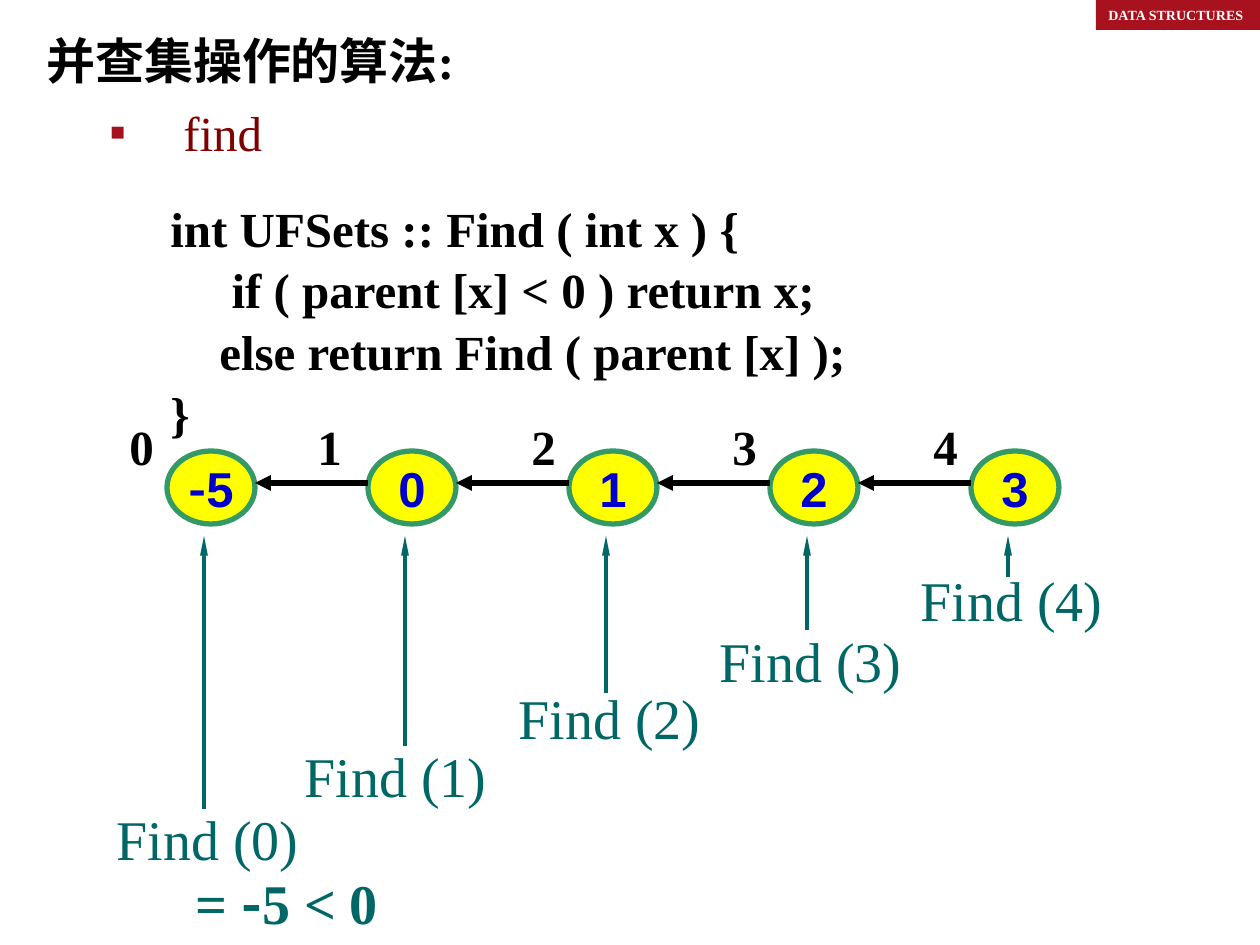
from lxml.etree import SubElement
from pptx import Presentation
from pptx.dml.color import RGBColor
from pptx.enum.shapes import MSO_CONNECTOR, MSO_SHAPE
from pptx.enum.text import MSO_ANCHOR, PP_ALIGN
from pptx.oxml.ns import qn
from pptx.util import Emu, Pt

SLIDE_W, SLIDE_H = 1260, 945
SERIF, SANS, CJK = "Times New Roman", "Arial", "Noto Sans CJK SC"
BLACK = RGBColor(0, 0, 0)
WHITE = RGBColor(255, 255, 255)
BANNER_BACK = RGBColor(0xC8, 0x16, 0x27)
BANNER_RED = RGBColor(0xA8, 0x12, 0x1E)
MAROON = RGBColor(0x80, 0, 0)
YELLOW = RGBColor(255, 255, 0)
GREEN = RGBColor(0x33, 0x99, 0x66)
BLUE = RGBColor(0, 0, 0xCC)
TEAL = RGBColor(0, 0x66, 0x66)

PARENTS = ["-5", "0", "1", "2", "3"]
CODE = [
    "int UFSets :: Find ( int x ) {",
    "     if ( parent [x] < 0 ) return x;",
    "    else return Find ( parent [x] );",
    "}",
]


def px(length):
    return Emu(round(length * 914400 / 126))


def write(paragraph, text, size=28, color=BLACK, bold=True, font=SERIF,
          align=PP_ALIGN.LEFT, spacing=None):
    """Fill a paragraph, setting a minus sign in the CJK font."""
    paragraph.alignment = align
    paragraph.line_spacing = spacing
    before, minus, after = text.partition("-")
    for part, face in ((before, font), (minus, CJK), (after, font)):
        if not part:
            continue
        run = paragraph.add_run()
        run.text = part
        run.font.size = Pt(size)
        run.font.bold = bold
        run.font.color.rgb = color
        run.font.name = face
        SubElement(run.font._element, qn("a:ea")).set("typeface", CJK)


def add_text(slide, box, lines, wrap=False, **style):
    frame = slide.shapes.add_textbox(*map(px, box)).text_frame
    frame.word_wrap = wrap
    for i, line in enumerate(lines):
        paragraph = frame.add_paragraph() if i else frame.paragraphs[0]
        write(paragraph, line, **style)
    return frame


def add_solid(slide, kind, box, fill):
    shape = slide.shapes.add_shape(kind, *map(px, box))
    shape.shadow.inherit = False
    shape.fill.solid()
    shape.fill.fore_color.rgb = fill
    shape.line.fill.background()
    return shape


def add_arrow(slide, start, end, color, width, head_width="med", head_length="med"):
    arrow = slide.shapes.add_connector(MSO_CONNECTOR.STRAIGHT, *map(px, start + end))
    arrow.line.color.rgb = color
    arrow.line.width = Pt(width)
    SubElement(arrow.line._get_or_add_ln(), qn("a:tailEnd"),
               type="triangle", w=head_width, len=head_length)
    SubElement(arrow._element.spPr, qn("a:effectLst"))


def add_banner(slide, left, top, width, height):
    add_solid(slide, MSO_SHAPE.RECTANGLE, (left + 4, top, width - 4, height - 1), BANNER_BACK)
    banner = add_solid(slide, MSO_SHAPE.RECTANGLE, (left, top, width, height), BANNER_RED)
    banner.text_frame.vertical_anchor = MSO_ANCHOR.TOP
    write(banner.text_frame.paragraphs[0], "DATA STRUCTURES", size=8, color=WHITE)


def add_outline(slide, box):
    """Heading with one square-bulleted item below it."""
    frame = add_text(slide, box, ["并查集操作的算法:"], wrap=True)
    item = frame.add_paragraph()
    properties = item._p.get_or_add_pPr()
    properties.set("marL", str(px(137)))
    properties.set("indent", str(px(-73)))
    color = SubElement(properties, qn("a:buClr"))
    SubElement(color, qn("a:srgbClr"), val="A5121E")
    SubElement(properties, qn("a:buSzPct"), val="50000")
    SubElement(properties, qn("a:buFont"), typeface=SERIF)
    SubElement(properties, qn("a:buChar"), char="■")
    item.space_before = Pt(8)
    write(item, "find", color=MAROON, bold=False)


def add_chain(slide, left, top):
    """Row of parent nodes, each with its index and the call that reaches it."""
    pitch, width, height = 201, 88, 73
    call_tops = [798, 735, 677, 620, 559]
    stem_ends = [809, 746, 693, 630, 577]
    for i, parent in enumerate(PARENTS):
        x = left + i * pitch
        label_x = x - 13 if i == 1 else x
        node = add_solid(slide, MSO_SHAPE.OVAL, (x, top, width, height), YELLOW)
        node.line.color.rgb = GREEN
        node.line.width = Pt(3)
        node.text_frame.word_wrap = False
        node.text_frame.vertical_anchor = MSO_ANCHOR.MIDDLE
        write(node.text_frame.paragraphs[0], parent, color=BLUE, font=SANS,
              align=PP_ALIGN.CENTER)
        if i:
            add_arrow(slide, (x, top + 32), (x - pitch + width, top + 32), BLACK, 3)
        add_text(slide, (label_x - 50, top - 41, 49, 72), [str(i)])
        add_arrow(slide, (x + 37, stem_ends[i]), (x + 37, top + 85), TEAL, 2.25, "sm", "lg")
        add_text(slide, (label_x - 63, call_tops[i], 207, 81), [f"Find ({i})"],
                 size=32, color=TEAL, bold=False)


def main():
    deck = Presentation()
    deck.slide_width, deck.slide_height = px(SLIDE_W), px(SLIDE_H)
    slide = deck.slides.add_slide(deck.slide_layouts[6])
    add_banner(slide, 1096, 0, 164, 30)
    add_outline(slide, (34, 24, 1071, 567))
    add_chain(slide, 167, 451)
    add_text(slide, (183, 862, 261, 83), ["= -5 < 0"], wrap=True, size=32, color=TEAL)
    add_text(slide, (158, 189, 990, 248), CODE, wrap=True, spacing=1.05)
    deck.save("out.pptx")


if __name__ == "__main__":
    main()
